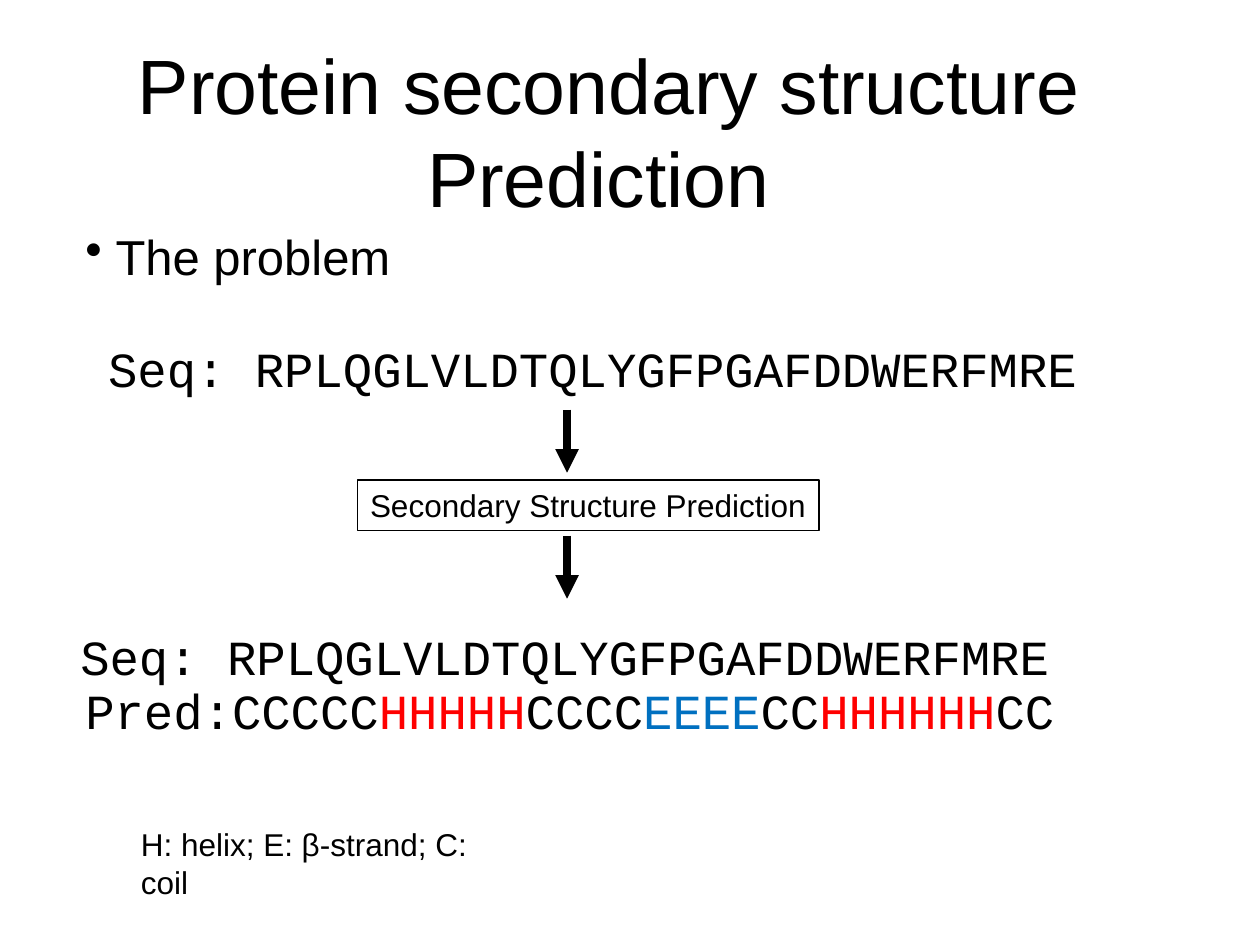
import pptx
import pptx.dml.color
import pptx.enum.dml
import pptx.enum.shapes
import pptx.enum.text
import pptx.oxml.ns
import pptx.util
from lxml import etree

Cm, Pt = pptx.util.Cm, pptx.util.Pt
ANCHOR = pptx.enum.text.MSO_ANCHOR
BLACK, RED, BLUE = "000000", "FF0000", "0070C0"
STATE_COLOURS = {"H": RED, "E": BLUE}
SEQUENCE = "Seq: RPLQGLVLDTQLYGFPGAFDDWERFMRE"
PREDICTION = ["Pred:CCCCC", "HHHHH", "CCCC", "EEEE", "CC", "HHHHHH", "CC"]
LINE_HEIGHT = 1.45


def colour(code):
    return pptx.dml.color.RGBColor.from_string(code)


def add_element(parent, tag, **attributes):
    return etree.SubElement(parent, pptx.oxml.ns.qn(tag), attributes)


def style(paragraph, size, font="Arial"):
    paragraph.font.size = Pt(size)
    paragraph.font.name = font
    paragraph.font.color.rgb = colour(BLACK)


def add_text(slide, box, text, size, font="Arial", wrap=False, anchor=ANCHOR.TOP):
    frame = slide.shapes.add_textbox(*map(Cm, box)).text_frame
    frame.word_wrap = wrap
    frame.vertical_anchor = anchor
    paragraph = frame.paragraphs[0]
    paragraph.text = text
    style(paragraph, size, font)
    return paragraph


def add_title(slide, box):
    # The trailing space is part of the centred line
    title = add_text(slide, box, "Protein secondary structure Prediction ", 44, wrap=True)
    title.alignment = pptx.enum.text.PP_ALIGN.CENTER


def add_problem(slide, box):
    problem = add_text(slide, box, "", 28, wrap=True)
    properties = problem._p.get_or_add_pPr()
    hanging = Cm(0.61)
    properties.set("marL", str(hanging))
    properties.set("indent", str(-hanging))
    properties.clear_content() if hasattr(properties, "clear_content") else None
    for child in list(properties):
        properties.remove(child)
    add_element(properties, "a:buChar", char="•")
    problem.text = "The problem"
    style(problem, 28)


def add_sequence(slide, box, text=SEQUENCE):
    return add_text(slide, box, text, 28, "Courier New", anchor=ANCHOR.MIDDLE)


def add_result(slide, box):
    left, top, width, height = box
    add_sequence(slide, (left, top, width, LINE_HEIGHT))

    # Predicted states, coloured by kind
    states = add_sequence(slide, (left + 0.1, top + height - LINE_HEIGHT, width, LINE_HEIGHT), "")
    for segment in PREDICTION:
        run = states.add_run()
        run.text = segment
        if segment[0] in STATE_COLOURS:
            run.font.color.rgb = colour(STATE_COLOURS[segment[0]])


def add_arrow(slide, x, top, length):
    arrow = slide.shapes.add_connector(
        pptx.enum.shapes.MSO_CONNECTOR.STRAIGHT, Cm(x), Cm(top), Cm(x), Cm(top + length))
    arrow.line.width = Pt(4.5)
    arrow.line.color.rgb = colour(BLACK)
    add_element(arrow.line._get_or_add_ln(), "a:tailEnd", type="triangle")
    add_element(arrow._element.spPr, "a:effectLst")


def add_predictor(slide, box):
    left, top, width, height = box
    step_top, step_height = top + 1.42, 1.02

    # Prediction step
    step = slide.shapes.add_shape(
        pptx.enum.shapes.MSO_SHAPE.RECTANGLE, Cm(left), Cm(step_top), Cm(width), Cm(step_height))
    step.shadow.inherit = False
    step.fill.background()
    step.line.color.rgb = colour(BLACK)
    step.line.width = Pt(0.75)
    step.text_frame.word_wrap = False
    step.text_frame.vertical_anchor = ANCHOR.TOP
    label = step.text_frame.paragraphs[0]
    label.text = "Secondary Structure Prediction"
    label.alignment = pptx.enum.text.PP_ALIGN.LEFT
    style(label, 18)

    # Arrows into and out of the step
    arrow_length = 1.27
    for arrow_top in (top, top + height - arrow_length):
        add_arrow(slide, left + 4.22, arrow_top, arrow_length)


def add_legend(slide, box):
    add_text(slide, box, "H: helix; E: β-strand; C: coil", 18)


def main():
    deck = pptx.Presentation()
    deck.slide_width, deck.slide_height = Cm(25.4), Cm(19.05)
    slide = deck.slides.add_slide(deck.slide_layouts[6])

    add_title(slide, (1.27, 0.64, 22.02, 3.99))
    add_problem(slide, (1.47, 4.45, 21.79, LINE_HEIGHT))
    add_sequence(slide, (1.93, 6.7, 20.09, LINE_HEIGHT))
    add_predictor(slide, (7.21, 8.26, 9.3, 3.81))
    add_result(slide, (1.37, 12.5, 20.09, 2.54))
    add_legend(slide, (2.59, 16.51, 8.2, 1.02))

    deck.save("out.pptx")


if __name__ == "__main__":
    main()
